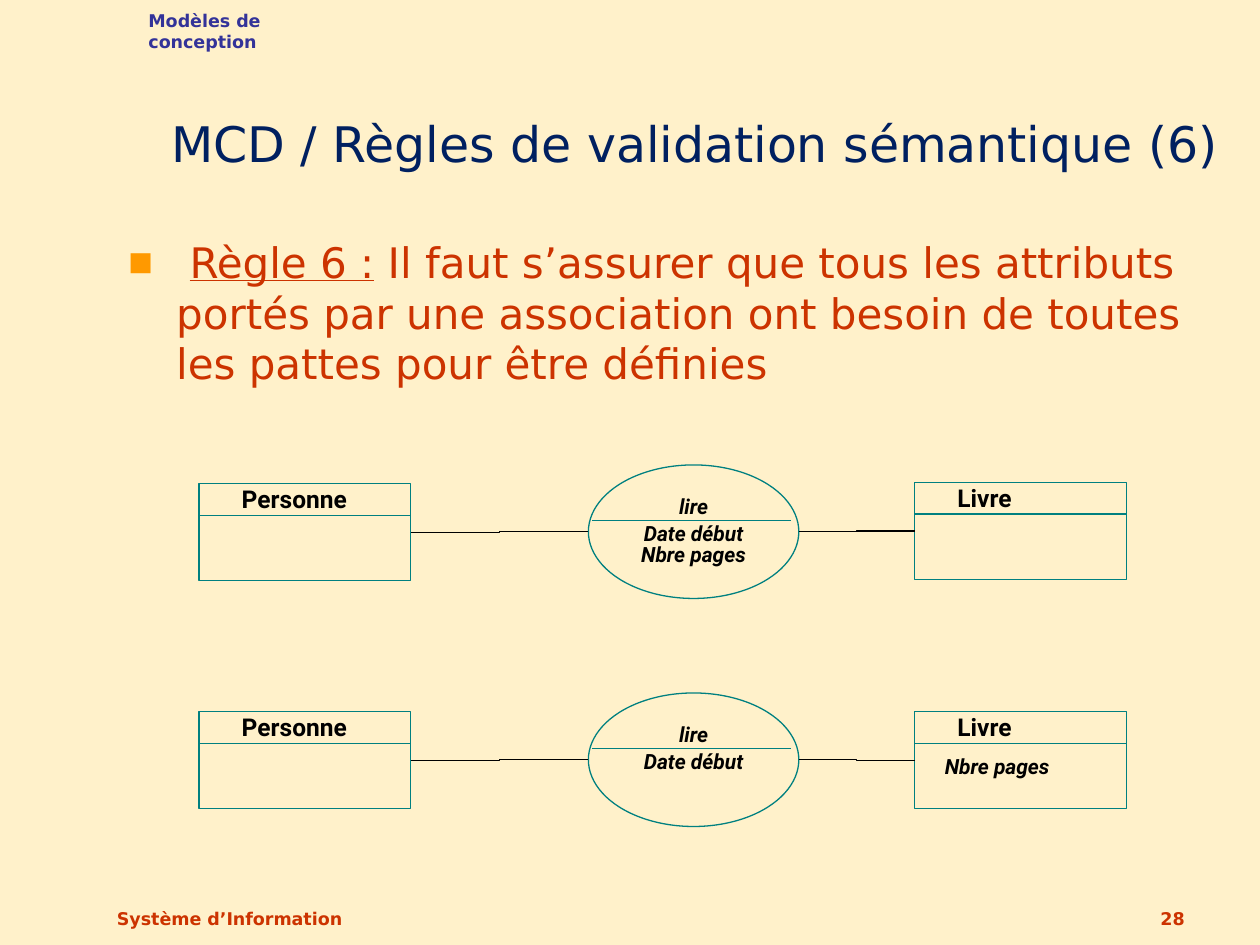
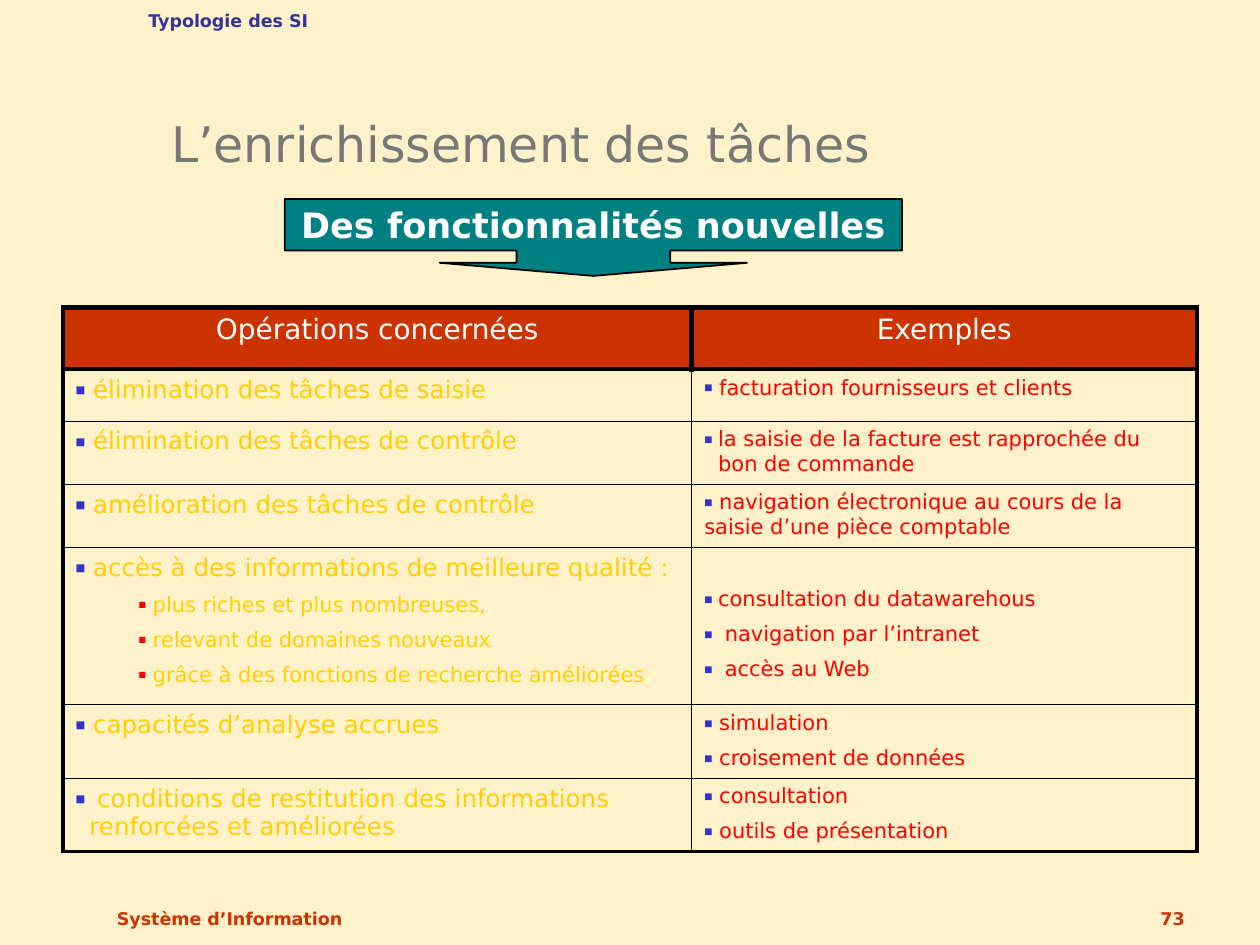
import dataclasses

import lxml.etree
import pptx
import pptx.dml.color
import pptx.enum.shapes
import pptx.enum.text
import pptx.oxml.ns
import pptx.util

Inches = pptx.util.Inches
Pt = pptx.util.Pt
SHAPE = pptx.enum.shapes.MSO_SHAPE
LINK = pptx.enum.shapes.MSO_CONNECTOR
ALIGN = pptx.enum.text.PP_ALIGN
ANCHOR = pptx.enum.text.MSO_ANCHOR


@dataclasses.dataclass(frozen=True)
class Theme:
    sans: str = "DejaVu Sans"
    model: str = "Roboto"
    paper: str = "FFF1CA"
    rust: str = "CC3300"
    navy: str = "002060"
    grey: str = "777777"
    indigo: str = "333399"
    blue: str = "3333CC"
    orange: str = "FF9900"
    gold: str = "FFCF01"
    red: str = "FF0000"
    teal: str = "008080"
    black: str = "000000"
    white: str = "FFFFFF"
    title: int = 28
    body: int = 24
    banner: int = 20
    head: int = 16
    task: int = 14
    small: int = 12
    note: int = 10
    thin: float = 0.75


T = Theme()

# Content: rule slide
RULE = {
    "topic": ("Modèles de conception", 1.97),
    "title": ("MCD / Règles de validation sémantique (6)", T.navy, 8.74),
    "page": "28",
}
RULE_RUNS = [
    (" ", T.black, False),
    ("Règle 6 :", T.rust, True),
    (" Il faut s’assurer que tous les attributs portés par une association "
     "ont besoin de toutes les pattes pour être définies", T.rust, False),
]
# top of the oval, tops of both boxes, oval lines with spacing, book field
MODELS = [
    (3.69, 3.84, 3.83,
     [("lire", 1.1), ("Date début", 1.1), ("Nbre pages", 0.8)], None),
    (5.5, 5.65, 5.65, [("lire", 1.1), ("Date début", 1.1)], "Nbre pages"),
]

# Content: table slide; each entry is (text, kind)
TASKS = {
    "topic": ("Typologie des SI", 1.5),
    "title": ("L’enrichissement des tâches", T.grey, 8.52),
    "page": "73",
}
BANNER = "Des fonctionnalités nouvelles"
HEADS = ["Opérations concernées", "Exemples"]
ROWS = [
    ([(" élimination des tâches de saisie", "task")],
     [(" facturation fournisseurs et clients", "case")]),
    ([(" élimination des tâches de contrôle", "task")],
     [("la saisie de la facture est rapprochée du bon de commande", "hung")]),
    ([(" amélioration des tâches de contrôle", "task")],
     [(" navigation électronique au cours de la saisie d’une pièce comptable",
       "case")]),
    ([(" accès à des informations de meilleure qualité :", "task"),
      (" plus riches et plus nombreuses,", "sub"),
      (" relevant de domaines nouveaux", "sub"),
      (" grâce à des fonctions de recherche améliorées", "sub")],
     [("consultation du datawarehous", "hung"),
      (" navigation par l’intranet", "hung"),
      (" accès au Web", "hung")]),
    ([(" capacités d’analyse accrues", "task")],
     [(" simulation", "case"), (" croisement de données", "case")]),
    ([(" conditions de restitution des informations renforcées et améliorées",
       "wide")],
     [(" consultation", "case"), (" outils de présentation", "case")]),
]
# kind: type size, text colour, bullet colour, bullet percent, margin, hang
KINDS = {
    "task": (T.task, T.gold, T.blue, 42, 0, 0),
    "wide": (T.task, T.gold, T.blue, 42, 0.11, -0.11),
    "sub": (T.small, T.gold, T.red, 38, 0.5, 0),
    "case": (T.small, T.red, T.blue, 42, 0, 0),
    "hung": (T.small, T.red, T.blue, 42, 0.11, -0.11),
}
COLS = [4.99, 4.01]
HEIGHTS = [0.49, 0.41, 0.49, 0.49, 1.25, 0.58, 0.58]
DROPS = {(4, 1): 0.32}  # extra top margin, by row and column


# Helpers
def color(code):
    return pptx.dml.color.RGBColor.from_string(code)


def node(parent, tag, **attrs):
    return lxml.etree.SubElement(parent, pptx.oxml.ns.qn(tag), attrs)


def write(par, text, size, ink, face=T.sans, bold=False, slant=False,
          under=False):
    run = par.add_run()
    run.text = text
    font = run.font
    font.size, font.name = Pt(size), face
    font.bold, font.italic, font.underline = bold, slant, under
    font.color.rgb = color(ink)


def bullet(par, ink, part, left, hang):
    props = par._p.get_or_add_pPr()
    props.set("marL", str(Inches(left)))
    props.set("indent", str(Inches(hang)))
    node(node(props, "a:buClr"), "a:srgbClr", val=ink)
    node(props, "a:buSzPct", val=str(part * 1000))
    node(props, "a:buFont", typeface=T.sans)
    node(props, "a:buChar", char="■")


def frame(slide, left, top, wide, high, anchor=ANCHOR.TOP, wrap=True):
    box = slide.shapes.add_textbox(
        Inches(left), Inches(top), Inches(wide), Inches(high))
    box.text_frame.word_wrap = wrap
    box.text_frame.vertical_anchor = anchor
    return box.text_frame.paragraphs[0]


def outline(slide, kind, left, top, wide, high):
    form = slide.shapes.add_shape(
        kind, Inches(left), Inches(top), Inches(wide), Inches(high))
    form.shadow.inherit = False
    form.fill.background()
    form.line.color.rgb = color(T.teal)
    form.line.width = Pt(T.thin)
    return form


def link(slide, kind, start, end, ink):
    line = slide.shapes.add_connector(
        kind, *[Inches(v) for v in (*start, *end)])
    line.line.color.rgb = color(ink)
    line.line.width = Pt(T.thin)
    node(line._element.spPr, "a:effectLst")


def base(deck, data):
    """Add a slide with its paper, footer, topic and title."""
    slide = deck.slides.add_slide(deck.slide_layouts[6])
    fill = slide.background.fill
    fill.solid()
    fill.fore_color.rgb = color(T.paper)
    low = ANCHOR.BOTTOM
    write(frame(slide, 0.83, 6.92, 3.17, 0.5, low), "Système d’Information",
          T.note, T.rust, bold=True)
    par = frame(slide, 7.42, 6.92, 2.08, 0.5, low)
    par.alignment = ALIGN.RIGHT
    write(par, data["page"], T.note, T.rust, bold=True)
    text, wide = data["topic"]
    write(frame(slide, 1.08, 0.03, wide, 0.27), text, T.note, T.indigo,
          bold=True)
    text, ink, wide = data["title"]
    write(frame(slide, 1.26, 0.17, wide, 1.25, low), text, T.title, ink)
    return slide


# Entity model
BOX_W, BOX_H = 1.68, 0.77
OVAL_X, OVAL_W, OVAL_H = 4.67, 1.67, 1.06
LEFT_X, RIGHT_X = 1.58, 7.26


def entity(slide, name, left, top, wide):
    outline(slide, SHAPE.RECTANGLE, left, top, BOX_W, BOX_H)
    link(slide, LINK.STRAIGHT, (left, top + 0.25),
         (left + BOX_W, top + 0.25), T.teal)
    par = frame(slide, left + 0.24, top - 0.07, wide, 0.36, wrap=False)
    par.line_spacing = 1.1
    write(par, name, T.task, T.black, T.model, bold=True)


def model(slide, top, left_y, right_y, lines, field):
    entity(slide, "Personne", LEFT_X, left_y, 1.12)
    entity(slide, "Livre", RIGHT_X, right_y, 0.69)
    oval = outline(slide, SHAPE.OVAL, OVAL_X, top, OVAL_W, OVAL_H)
    body = oval.text_frame
    body.word_wrap = True
    body.vertical_anchor = ANCHOR.TOP
    for i, (text, space) in enumerate(lines):
        par = body.add_paragraph() if i else body.paragraphs[0]
        par.alignment = ALIGN.CENTER
        par.line_spacing = space
        write(par, text, T.small, T.black, T.model, bold=True, slant=True)
    mid = top + OVAL_H / 2
    link(slide, LINK.ELBOW, (OVAL_X, mid),
         (LEFT_X + BOX_W, left_y + BOX_H / 2), T.black)
    link(slide, LINK.ELBOW, (OVAL_X + OVAL_W, mid),
         (RIGHT_X, right_y + BOX_H / 2), T.black)
    link(slide, LINK.STRAIGHT, (OVAL_X + 0.03, top + 0.44),
         (OVAL_X + OVAL_W - 0.06, top + 0.44), T.teal)
    if field:
        par = frame(slide, RIGHT_X + 0.14, right_y + 0.28, 1.15, 0.3,
                    wrap=False)
        write(par, field, T.small, T.black, T.model, bold=True, slant=True)


def draw_rule(deck):
    slide = base(deck, RULE)
    par = frame(slide, 0.92, 1.83, 9.08, 1)
    bullet(par, T.orange, 62, 0.38, -0.38)
    for text, ink, under in RULE_RUNS:
        write(par, text, T.body, ink, under=under)
    for row in MODELS:
        model(slide, *row)


# Task table
def border(cell, row, col):
    """Thick header, medium frame, fine inner lines."""
    last = row == len(ROWS)
    if row == 0:
        sizes = [3] * 4
    else:
        sizes = [1 if col else 2.25, 2.25 if col else 1,
                 3 if row == 1 else 0.25, 2.25 if last else 0.25]
    props = cell._tc.get_or_add_tcPr()
    for side, size in zip("LRTB", sizes):
        line = node(props, "a:ln" + side, w=str(Pt(size)))
        node(node(line, "a:solidFill"), "a:srgbClr", val=T.black)


def fill_cell(cell, items):
    for i, (text, kind) in enumerate(items):
        size, ink, mark, part, left, hang = KINDS[kind]
        body = cell.text_frame
        par = body.add_paragraph() if i else body.paragraphs[0]
        bullet(par, mark, part, left, hang)
        if i:
            par.space_before = Pt(6)
        write(par, text, size, ink)


def draw_tasks(deck):
    slide = base(deck, TASKS)
    grid = slide.shapes.add_table(
        len(HEIGHTS), len(COLS), Inches(0.5), Inches(2.44),
        Inches(sum(COLS)), Inches(sum(HEIGHTS))).table
    grid.first_row = grid.horz_banding = False
    for col, wide in enumerate(COLS):
        grid.columns[col].width = Inches(wide)
    for row, high in enumerate(HEIGHTS):
        grid.rows[row].height = Inches(high)
        for col in range(len(COLS)):
            cell = grid.cell(row, col)
            border(cell, row, col)
            if row:
                cell.fill.background()
                cell.margin_top = Inches(DROPS.get((row - 0, col), 0.05))
                fill_cell(cell, ROWS[row - 1][col])
            else:
                cell.fill.solid()
                cell.fill.fore_color.rgb = color(T.rust)
                par = cell.text_frame.paragraphs[0]
                par.alignment = ALIGN.CENTER
                write(par, HEADS[col], T.head, T.white)

    # Banner arrow
    arrow = outline(slide, SHAPE.DOWN_ARROW_CALLOUT, 2.26, 1.58, 4.9, 0.61)
    for i, value in enumerate([2, 2, 0.17, 0.67]):
        arrow.adjustments[i] = value
    arrow.fill.solid()
    arrow.fill.fore_color.rgb = color(T.teal)
    arrow.line.color.rgb = color(T.black)
    arrow.line.width = Pt(1)
    arrow.text_frame.word_wrap = True
    arrow.text_frame.vertical_anchor = ANCHOR.MIDDLE
    par = arrow.text_frame.paragraphs[0]
    par.alignment = ALIGN.CENTER
    write(par, BANNER, T.banner, T.white, bold=True)


def main():
    deck = pptx.Presentation()
    deck.slide_width, deck.slide_height = Inches(10), Inches(7.5)
    draw_rule(deck)
    draw_tasks(deck)
    deck.save("out.pptx")


if __name__ == "__main__":
    main()
